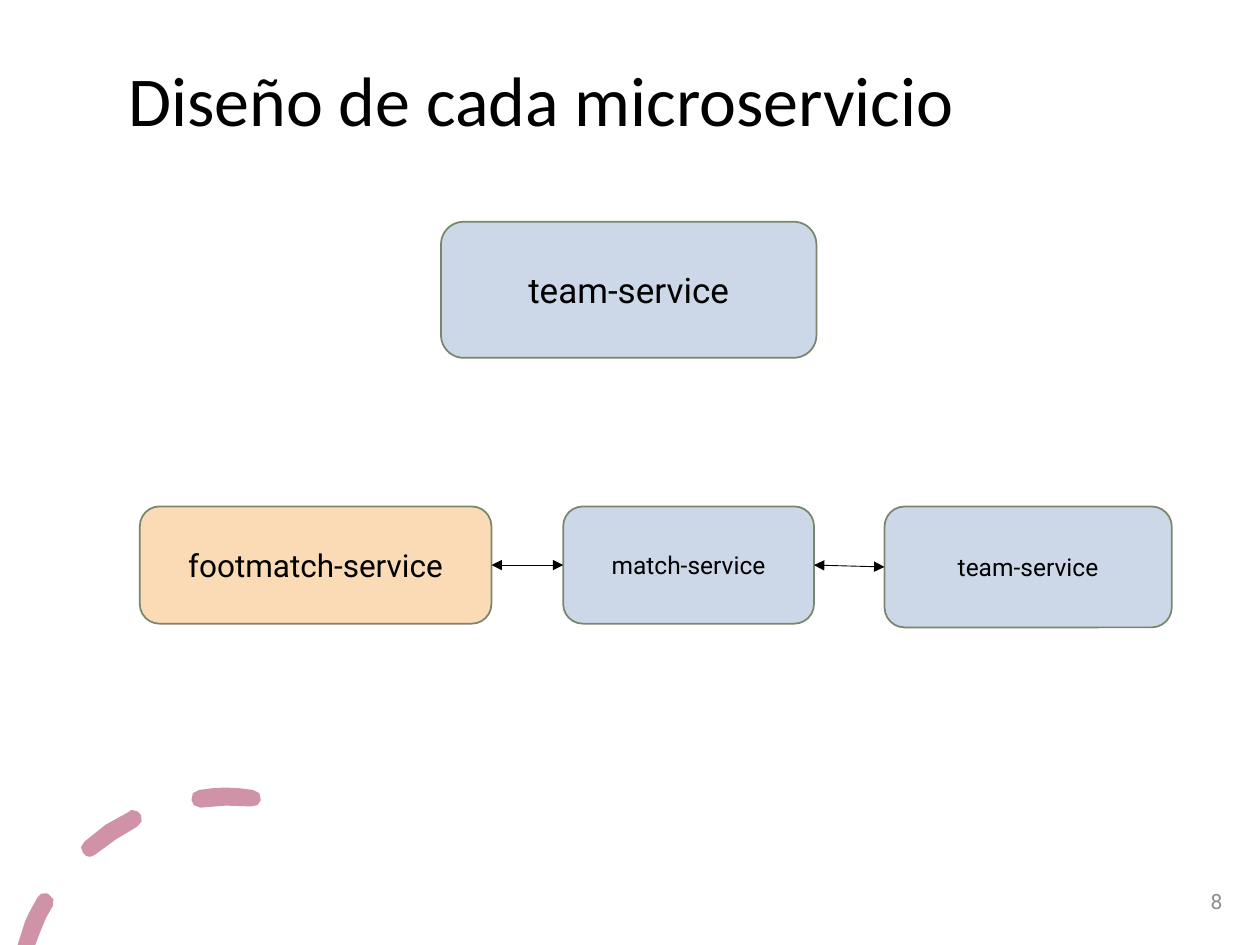
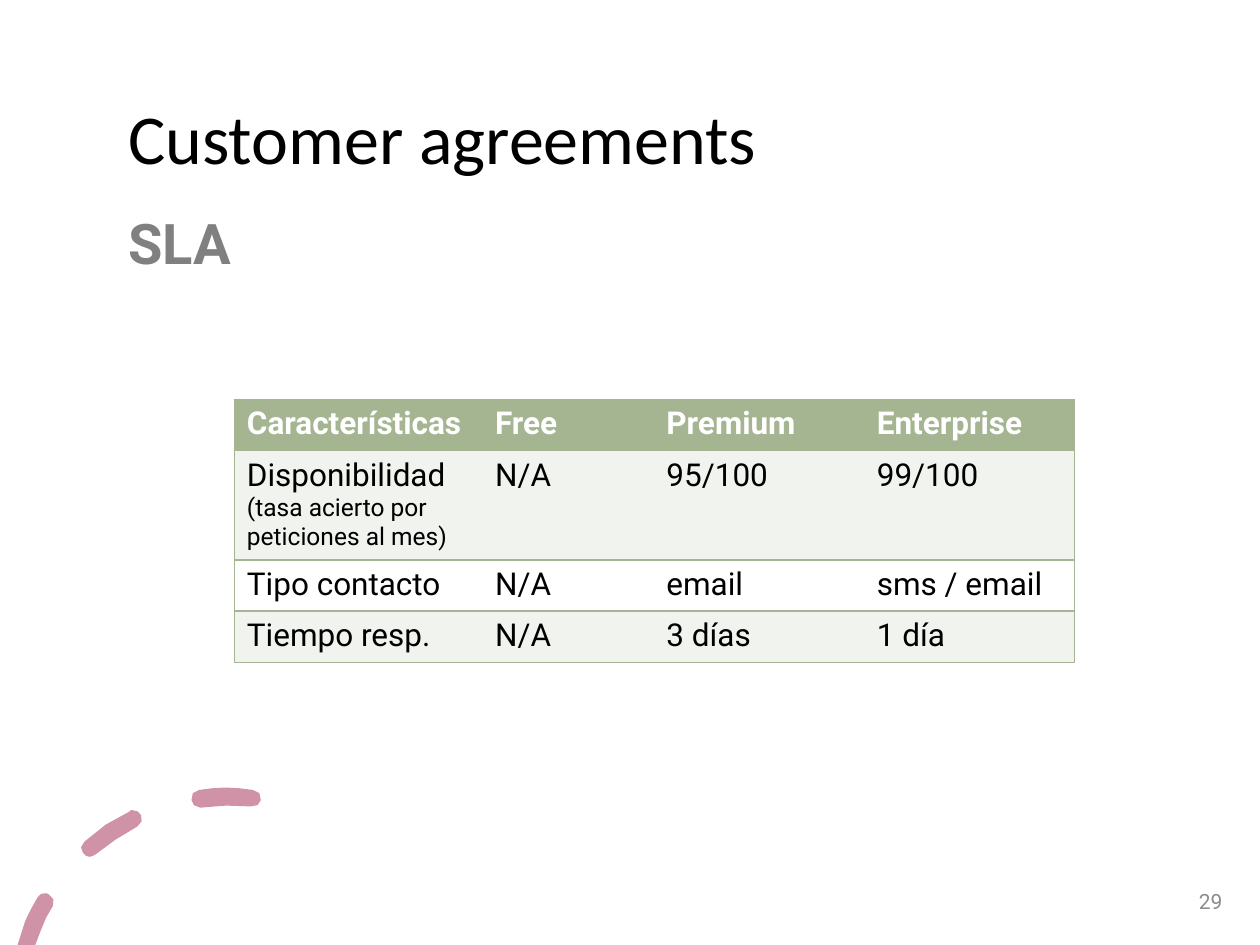
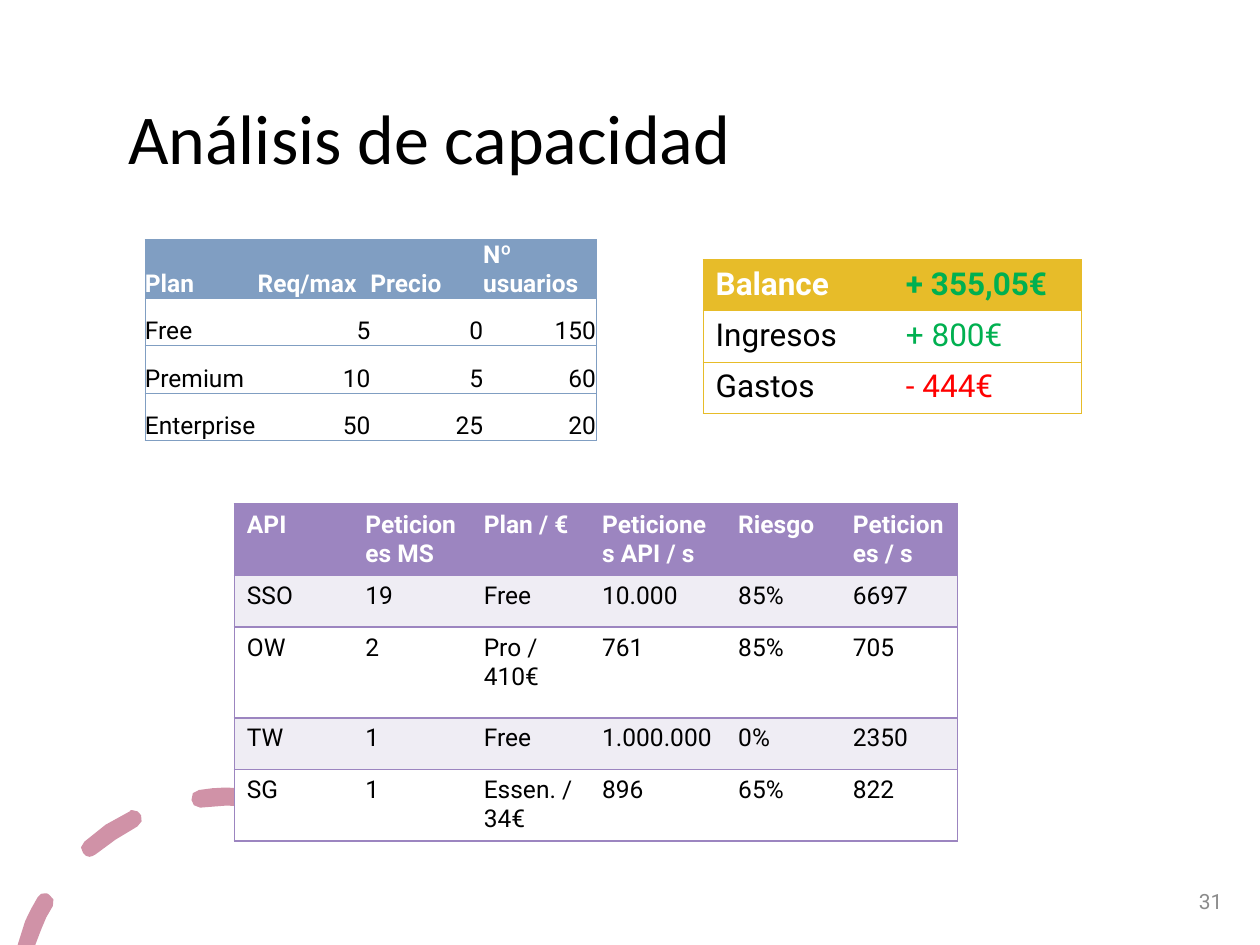
from lxml.etree import SubElement
from pptx import Presentation
from pptx.dml.color import RGBColor
from pptx.enum.shapes import MSO_CONNECTOR, MSO_SHAPE
from pptx.enum.text import MSO_ANCHOR, PP_ALIGN
from pptx.oxml.ns import qn
from pptx.util import Inches, Pt

# Shared look
BLACK = RGBColor(0x00, 0x00, 0x00)
WHITE = RGBColor(0xFF, 0xFF, 0xFF)
GRAY = RGBColor(0x80, 0x80, 0x80)
NUMBER_GRAY = RGBColor(0x8C, 0x8C, 0x8C)
PINK = RGBColor(0xD0, 0x92, 0xA7)
PALE_BLUE = RGBColor(0xCC, 0xD8, 0xE7)
PALE_ORANGE = RGBColor(0xFA, 0xDB, 0xB5)
OLIVE = RGBColor(0x7A, 0x86, 0x6C)
GREEN = RGBColor(0xA5, 0xB5, 0x92)
PALE_GREEN = RGBColor(0xF0, 0xF3, 0xEE)
PURPLE = RGBColor(0x9C, 0x85, 0xC0)
PALE_PURPLE = RGBColor(0xEF, 0xED, 0xF4)
BLUE = RGBColor(0x80, 0x9E, 0xC2)
YELLOW = RGBColor(0xE7, 0xBC, 0x29)
GAIN = RGBColor(0x00, 0xB0, 0x50)
LOSS = RGBColor(0xFF, 0x00, 0x00)
TITLE_FONT, BODY_FONT = "Calibri", "Roboto"
SLIDE_WIDTH, SLIDE_HEIGHT = 10, 7.5
TITLE_LEFT = 0.92
UNITS_PER_INCH = 1000  # precision of the corner dashes

# Corner dashes: start point, then lines (2 numbers) and curves (6 numbers)
DASHES = [
    [(0.36, 7.09), (0.34, 7.08, 0.31, 7.1, 0.3, 7.12),
     (0.26, 7.18, 0.23, 7.25, 0.2, 7.31), (0.14, 7.5), (0.28, 7.5), (0.33, 7.37),
     (0.35, 7.31, 0.38, 7.25, 0.42, 7.19), (0.44, 7.16, 0.42, 7.11, 0.39, 7.1),
     (0.38, 7.09, 0.37, 7.09, 0.36, 7.09)],
    [(1.05, 6.43), (1.04, 6.43, 1.03, 6.43, 1.03, 6.44),
     (0.9, 6.5, 0.77, 6.58, 0.67, 6.68), (0.64, 6.7, 0.63, 6.75, 0.66, 6.77),
     (0.67, 6.79, 0.69, 6.8, 0.71, 6.8), (0.73, 6.8, 0.74, 6.79, 0.76, 6.78),
     (0.86, 6.7, 0.97, 6.62, 1.09, 6.56), (1.12, 6.54, 1.14, 6.5, 1.12, 6.47),
     (1.11, 6.44, 1.08, 6.43, 1.05, 6.43)],
    [(1.79, 6.25), (1.72, 6.25, 1.65, 6.26, 1.58, 6.27),
     (1.54, 6.27, 1.51, 6.31, 1.52, 6.35), (1.52, 6.38, 1.55, 6.41, 1.59, 6.41),
     (1.73, 6.39, 1.86, 6.39, 1.99, 6.4), (2.03, 6.41, 2.07, 6.38, 2.07, 6.35),
     (2.08, 6.31, 2.05, 6.27, 2.01, 6.27), (1.94, 6.26, 1.86, 6.25, 1.79, 6.25)],
]

# Slide content
MAIN_SERVICE = ("team-service", 3.5, 2.98, 1.08, PALE_BLUE, 20)
SERVICE_CHAIN = [  # name, left, width, height, fill, text size
    ("footmatch-service", 1.11, 2.79, 0.93, PALE_ORANGE, 18),
    ("match-service", 4.47, 1.99, 0.93, PALE_BLUE, 14),
    ("team-service", 7.02, 2.28, 0.96, PALE_BLUE, 14),
]
AGREEMENTS = [
    ("Características", "Free", "Premium", "Enterprise"),
    ("Disponibilidad\n(tasa acierto por peticiones al mes)", "N/A", "95/100", "99/100"),
    ("Tipo contacto", "N/A", "email", "sms / email"),
    ("Tiempo resp.", "N/A", "3 días", "1 día"),
]
API_USAGE = [
    ("API", "Peticiones MS", "Plan / €", "Peticiones API / s", "Riesgo", "Peticiones / s"),
    ("SSO", "19", "Free", "10.000", "85%", "6697"),
    ("OW", "2", "Pro / 410€", "761", "85%", "705"),
    ("TW", "1", "Free", "1.000.000", "0%", "2350"),
    ("SG", "1", "Essen. / 34€", "896", "65%", "822"),
]
PLANS = [
    ("Plan", "Req/max", "Precio", "Nº usuarios"),
    ("Free", "5", "0", "150"),
    ("Premium", "10", "5", "60"),
    ("Enterprise", "50", "25", "20"),
]
BALANCE = [
    ("Balance", "+ 355,05€"),
    ("Ingresos", "+ 800€"),
    ("Gastos", "- 444€"),
]


def write_text(frame, text, size=18, color=BLACK, bold=False, font=BODY_FONT,
               align=PP_ALIGN.LEFT, small=14, line_spacing=None):
    """Write one paragraph; lines after the first take the small size."""
    para = frame.paragraphs[0]
    para.alignment = align
    if line_spacing:
        para.line_spacing = line_spacing
    for index, line in enumerate(text.split("\n")):
        if index:
            para.add_line_break()
        span = para.add_run()
        span.text = line
        span.font.name = font
        span.font.size = Pt(small if index else size)
        span.font.bold = bold
        span.font.color.rgb = color


def add_text(page, text, left, top, width, height, anchor=MSO_ANCHOR.MIDDLE, **text_format):
    box = page.shapes.add_textbox(*map(Inches, (left, top, width, height)))
    box.text_frame.word_wrap = True
    box.text_frame.vertical_anchor = anchor
    write_text(box.text_frame, text, **text_format)
    return box


def outline_points(start, steps, parts=2):
    """Turn lines and cubic curves into points in dash units."""
    points = [start]
    for step in steps:
        if len(step) == 2:
            points.append(step)
            continue
        corners = [points[-1], step[0:2], step[2:4], step[4:6]]
        for part in range(1, parts + 1):
            t = part / parts
            weights = ((1 - t) ** 3, 3 * t * (1 - t) ** 2, 3 * t * t * (1 - t), t ** 3)
            points.append(tuple(sum(w * corner[axis] for w, corner in zip(weights, corners))
                                for axis in (0, 1)))
    return [(x * UNITS_PER_INCH, y * UNITS_PER_INCH) for x, y in points]


def add_page(deck, title, number, title_lift=0.0):
    """Start a page with the corner dashes, the title and the page number."""
    page = deck.slides.add_slide(deck.slide_layouts[6])
    builder = None
    for start, *steps in DASHES:
        first, *others = outline_points(start, steps)
        if builder is None:
            builder = page.shapes.build_freeform(*first, scale=Inches(1) / UNITS_PER_INCH)
        else:
            builder.move_to(*first)
        builder.add_line_segments(others[:-1], close=True)
    dashes = builder.convert_to_shape()
    dashes.shadow.inherit = False
    dashes.fill.solid()
    dashes.fill.fore_color.rgb = PINK
    dashes.line.fill.background()

    box = add_text(page, title, TITLE_LEFT, 0.4, 8.07, 1.45,
                   size=40, font=TITLE_FONT, line_spacing=0.9)
    box.text_frame.margin_bottom = Inches(0.05 + 2 * title_lift)
    add_text(page, str(number), 9.09, 6.95, 0.71, 0.4,
             size=12, color=NUMBER_GRAY, align=PP_ALIGN.RIGHT)
    return page


def add_service(page, service, top):
    name, left, width, height, fill, size = service
    box = page.shapes.add_shape(MSO_SHAPE.ROUNDED_RECTANGLE,
                                *map(Inches, (left, top, width, height)))
    box.shadow.inherit = False
    box.fill.solid()
    box.fill.fore_color.rgb = fill
    box.line.color.rgb = OLIVE
    box.line.width = Pt(1)
    box.text_frame.vertical_anchor = MSO_ANCHOR.MIDDLE
    write_text(box.text_frame, name, size=size, align=PP_ALIGN.CENTER)
    return box


def link_services(page, first, second):
    arrow = page.shapes.add_connector(MSO_CONNECTOR.STRAIGHT, 0, 0, 0, 0)
    arrow.begin_connect(first, 3)
    arrow.end_connect(second, 1)
    arrow.line.color.rgb = BLACK
    arrow.line.width = Pt(0.5)
    for end in ("a:headEnd", "a:tailEnd"):
        SubElement(arrow.line._get_or_add_ln(), qn(end), type="triangle")
    SubElement(arrow._element.spPr, qn("a:effectLst"))


def set_borders(cell, sides, color, width):
    """Draw the given sides of a cell and clear the others."""
    properties = cell._tc.get_or_add_tcPr()
    for side in "LRTB":
        line = SubElement(properties, qn("a:ln" + side), w=str(Pt(width)))
        if side in sides:
            SubElement(SubElement(line, qn("a:solidFill")), qn("a:srgbClr"), val=str(color))
        else:
            SubElement(line, qn("a:noFill"))


def add_grid(page, rows, left, top, widths, heights, theme, band=WHITE,
             size=14, border=1, compact=False):
    """Add a table with a coloured header; compact cells sit low, figures at right."""
    frame = page.shapes.add_table(len(rows), len(widths), Inches(left), Inches(top),
                                  Inches(sum(widths)), Inches(sum(heights)))
    table = frame.table
    for column, width in zip(table.columns, widths):
        column.width = Inches(width)
    for row_index, (values, height) in enumerate(zip(rows, heights)):
        table.rows[row_index].height = Inches(height)
        header = row_index == 0
        for column_index, value in enumerate(values):
            cell = table.cell(row_index, column_index)
            sides = "TB" + "L" * (column_index == 0) + "R" * (column_index == len(widths) - 1)
            set_borders(cell, sides, theme, border)
            cell.fill.solid()
            cell.fill.fore_color.rgb = theme if header else band if row_index % 2 else WHITE
            align = PP_ALIGN.LEFT
            if compact:
                cell.vertical_anchor = MSO_ANCHOR.BOTTOM
                cell.margin_left = cell.margin_right = 0
                cell.margin_top = cell.margin_bottom = 0
                align = PP_ALIGN.RIGHT if value.isdigit() else PP_ALIGN.LEFT
            color = {"+": GAIN, "-": LOSS}.get(value[0], WHITE if header else BLACK)
            write_text(cell.text_frame, value, size=size, color=color, bold=header, align=align)


def build_services(deck):
    page = add_page(deck, "Diseño de cada microservicio", 8, title_lift=0.3)
    add_service(page, MAIN_SERVICE, 1.76)
    boxes = [add_service(page, service, 4.02) for service in SERVICE_CHAIN]
    for first, second in zip(boxes, boxes[1:]):
        link_services(page, first, second)


def build_agreements(deck):
    page = add_page(deck, "Customer agreements", 29)
    add_text(page, "SLA", TITLE_LEFT, 1.61, 3.29, 0.64, anchor=MSO_ANCHOR.TOP,
             size=32, color=GRAY, bold=True)
    add_grid(page, AGREEMENTS, 1.86, 3.17, [1.97, 1.36, 1.67, 1.67], [1.22 / 3] * 4,
             GREEN, band=PALE_GREEN, size=18)


def build_capacity(deck):
    page = add_page(deck, "Análisis de capacidad", 31)
    add_grid(page, API_USAGE, 1.86, 4, [0.94, 0.94, 0.94, 1.08, 0.91, 0.93],
             [0.45, 0.41, 0.72, 0.41, 0.41], PURPLE, band=PALE_PURPLE)
    add_grid(page, PLANS, 1.15, 1.9, [3.58 / 4] * 4, [0.45] + [1.13 / 3] * 3,
             BLUE, border=0.5, compact=True)
    add_grid(page, BALANCE, 5.58, 2.06, [1.51, 1.49], [1.22 / 3] * 3,
             YELLOW, size=18, border=0.5)


def main():
    deck = Presentation()
    deck.slide_width = Inches(SLIDE_WIDTH)
    deck.slide_height = Inches(SLIDE_HEIGHT)
    build_services(deck)
    build_agreements(deck)
    build_capacity(deck)
    deck.save("out.pptx")


if __name__ == "__main__":
    main()
